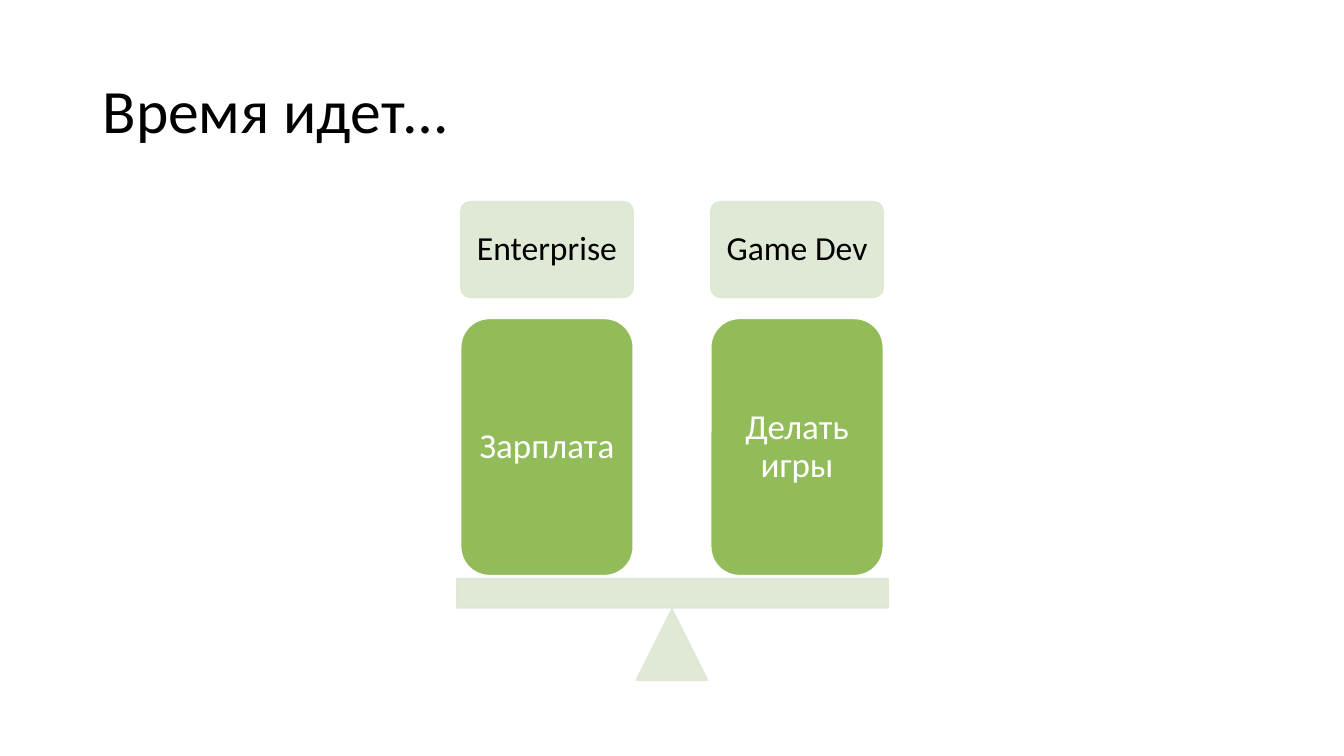
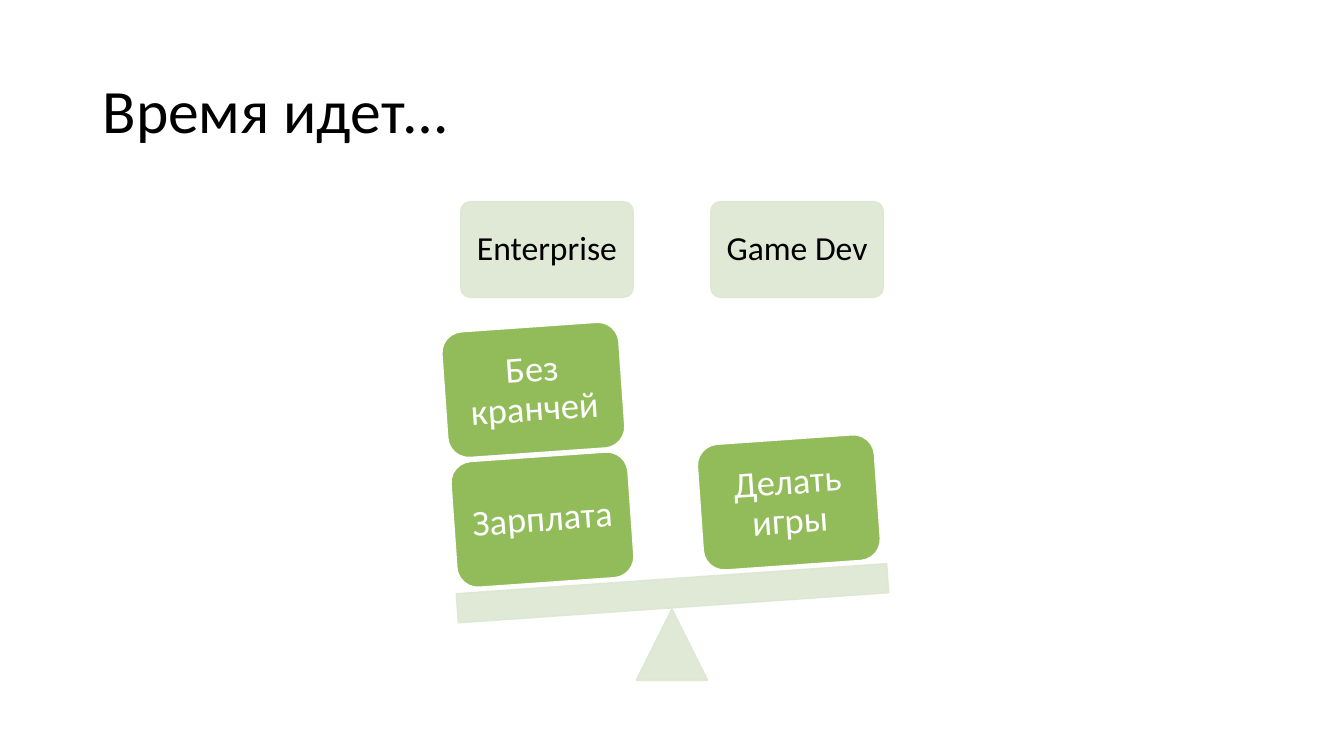
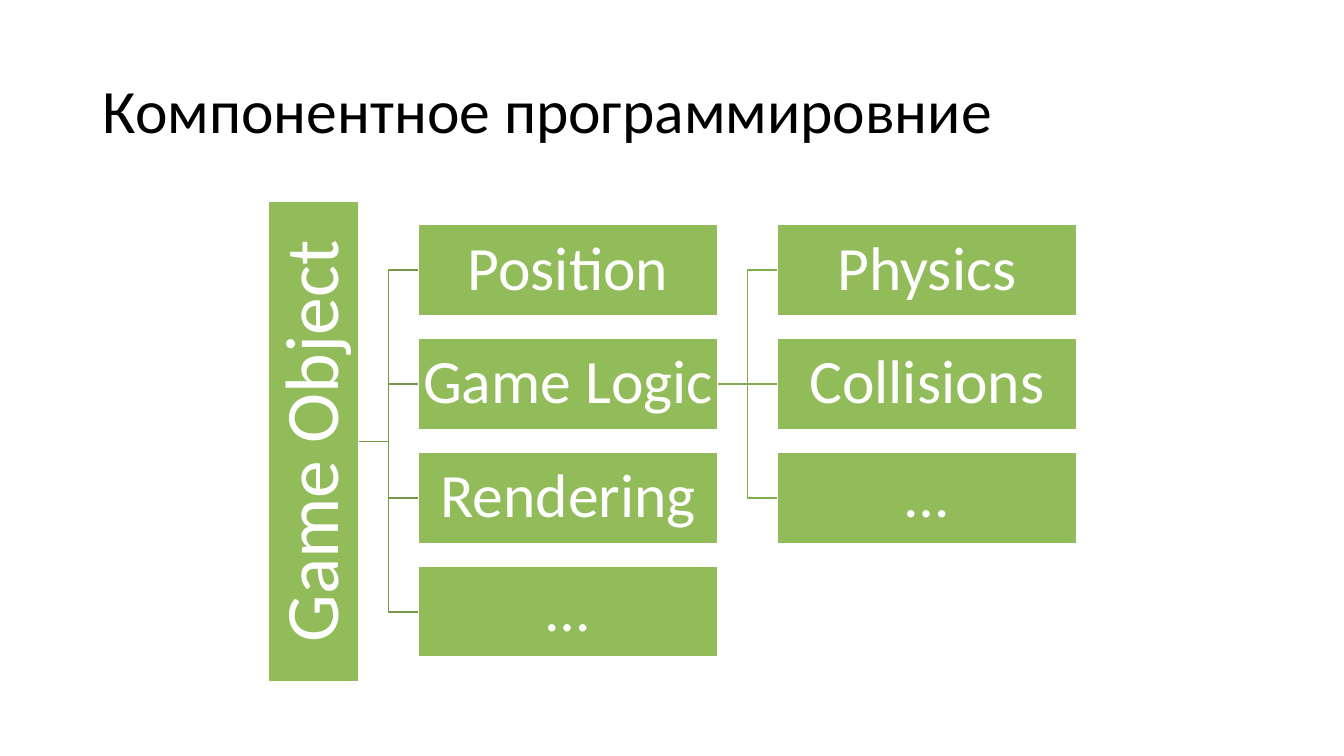
from math import cos, radians, sin

from lxml import etree
from pptx import Presentation
from pptx.dml.color import RGBColor
from pptx.enum.shapes import MSO_CONNECTOR as Link, MSO_SHAPE as Kind
from pptx.enum.text import MSO_ANCHOR as Anchor, PP_ALIGN as Align
from pptx.oxml.ns import qn
from pptx.util import Inches, Pt

FONT = "Calibri"
GREEN, PALE, WHITE, BLACK = "92BC5A", "DCE7D2", "FFFFFF", "000000"
LINES = ["759748", "85AB52"]  # by tree level

HEADS = ["Enterprise", "Game Dev"]
SCALES = [
    {"title": "Время идет…", "tilt": 0, "first": (4.57, 3.16),
     "size": (1.71, 2.55), "gap": 2.48, "font": 25, "inset": 0.1,
     "stacks": [["Зарплата"], ["Делать игры"]]},
    {"title": "Время идет…", "tilt": -4, "first": (4.5, 4.53),
     "size": (1.76, 1.25), "gap": 2.45, "font": 26, "inset": 0.11,
     "stacks": [["Зарплата", "Без кранчей"], ["Делать игры"]]},
]
TREE = {
    "title": "Компонентное программировние",
    "root": "Game Object",
    "parts": ["Position", "Game Logic", "Rendering", "…"],
    "hub": 1,
    "logic": ["Physics", "Collisions", "…"],
}


def color(code):
    return RGBColor.from_string(code)


def write(shape, text, size=24, ink=WHITE, align=Align.CENTER, inset=0.1):
    frame = shape.text_frame
    frame.word_wrap = True
    frame.vertical_anchor = Anchor.MIDDLE
    frame.margin_left = frame.margin_right = Inches(inset)
    frame.margin_top = frame.margin_bottom = Inches(min(inset, 0.11))
    para = frame.paragraphs[0]
    para.text = text
    para.alignment = align
    para.line_spacing = 0.9
    para.font.name, para.font.size = FONT, Pt(size)
    para.font.color.rgb = color(ink)


def draw(slide, kind, box, fill=GREEN, edge=WHITE, tilt=0):
    shape = slide.shapes.add_shape(kind, *map(Inches, box))
    shape.shadow.inherit = False
    shape.fill.solid()
    shape.fill.fore_color.rgb = color(fill)
    shape.line.color.rgb = color(edge)
    shape.line.width = Pt(1)
    shape.rotation = tilt
    return shape


def pale(slide, kind, box, tilt=0):
    """Draw a pale shape whose fill and line are 90% opaque."""
    shape = draw(slide, kind, box, PALE, PALE, tilt)
    for tint in shape._element.spPr.iter(qn("a:srgbClr")):
        etree.SubElement(tint, qn("a:alpha"), val="90000")
    return shape


def start(deck, title):
    slide = deck.slides.add_slide(deck.slide_layouts[6])
    box = slide.shapes.add_textbox(*map(Inches, (0.92, 0.4, 11.5, 1.45)))
    write(box, title, size=44, ink=BLACK, align=Align.LEFT)
    return slide


def scale(deck, data):
    slide = start(deck, data["title"])
    tilt, gap = data["tilt"], data["gap"]
    for col, text in enumerate(HEADS):
        head = pale(slide, Kind.ROUNDED_RECTANGLE,
                    (4.57 + 2.48 * col, 2, 1.71, 0.95))
        head.adjustments[0] = 0.1
        write(head, text, ink=BLACK)
    pale(slide, Kind.ISOSCELES_TRIANGLE, (6.31, 6.04, 0.71, 0.71))
    pale(slide, Kind.RECTANGLE, (4.53, 5.74, 4.28, 0.29), tilt)

    turn = radians(tilt)
    left, top = data["first"]
    wide, high = data["size"]
    for col, stack in enumerate(data["stacks"]):
        for row, text in enumerate(stack):
            along, up = gap * col, (high + 0.04) * row
            x = left + along * cos(turn) + up * sin(turn)
            y = top + along * sin(turn) - up * cos(turn)
            block = draw(slide, Kind.ROUNDED_RECTANGLE,
                         (x, y, wide, high), tilt=tilt)
            write(block, text, size=data["font"], inset=data["inset"])


def join(slide, parent, child, ink):
    """Link a parent's right side to a child's left side."""
    level = parent.top + parent.height // 2 == child.top + child.height // 2
    line = slide.shapes.add_connector(
        Link.STRAIGHT if level else Link.ELBOW, 0, 0, 0, 0)
    line.begin_connect(parent, 3)
    line.end_connect(child, 1)
    line.line.color.rgb = color(ink)
    line.line.width = Pt(1)
    etree.SubElement(line._element.spPr, qn("a:effectLst"))


def column(slide, left, names):
    cells = []
    for row, name in enumerate(names):
        cell = draw(slide, Kind.RECTANGLE,
                    (left, 2.23 + 1.13 * row, 2.97, 0.9))
        write(cell, name, size=44, inset=0.03)
        cells.append(cell)
    return cells


def tree(deck, data):
    slide = start(deck, data["title"])
    root = draw(slide, Kind.RECTANGLE, (2.66, 2, 0.9, 4.76))
    write(root, data["root"], size=54, inset=0.04)
    root.text_frame._txBody.bodyPr.set("vert", "vert270")
    parts = column(slide, 4.15, data["parts"])
    logic = column(slide, 7.71, data["logic"])
    hub = parts[data["hub"]]
    for parent, kids, ink in zip((root, hub), (parts, logic), LINES):
        for kid in kids:
            join(slide, parent, kid, ink)


def main():
    deck = Presentation()
    deck.slide_width, deck.slide_height = Inches(13.33), Inches(7.5)
    for data in SCALES:
        scale(deck, data)
    tree(deck, TREE)
    deck.save("out.pptx")


if __name__ == "__main__":
    main()
